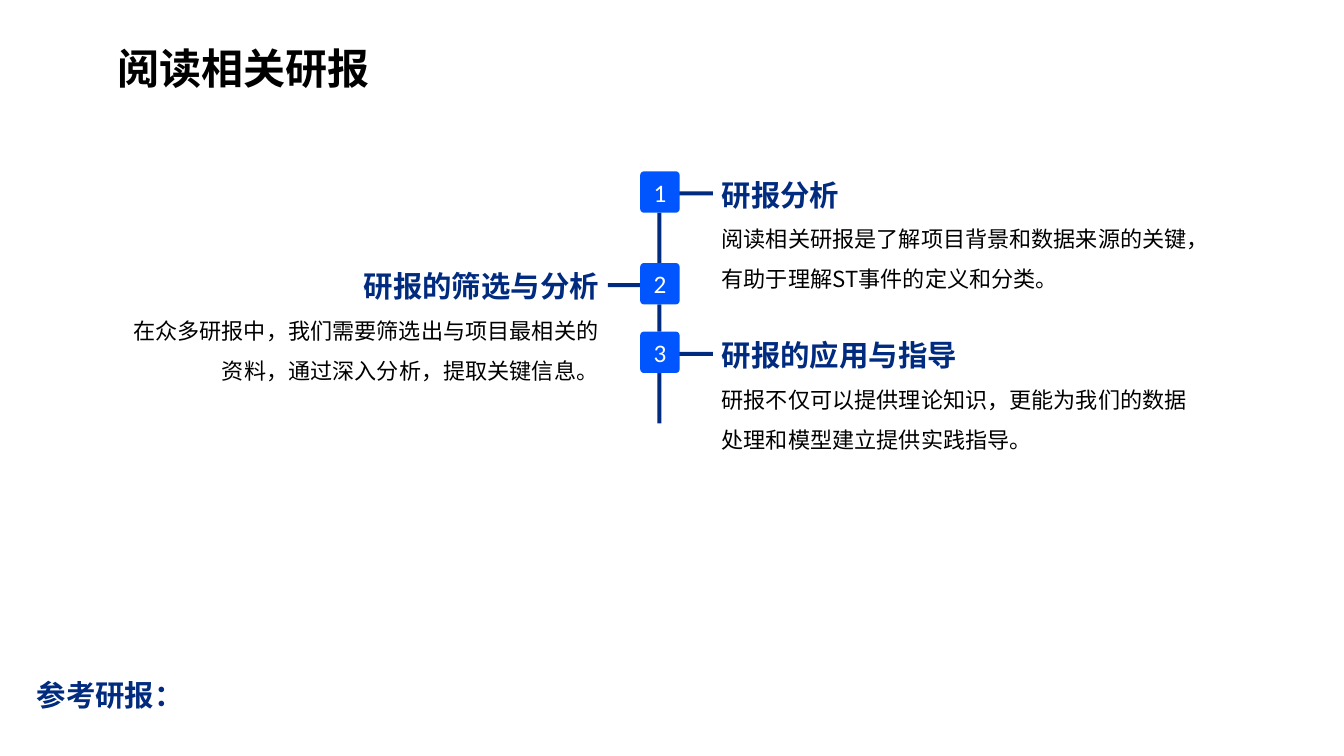
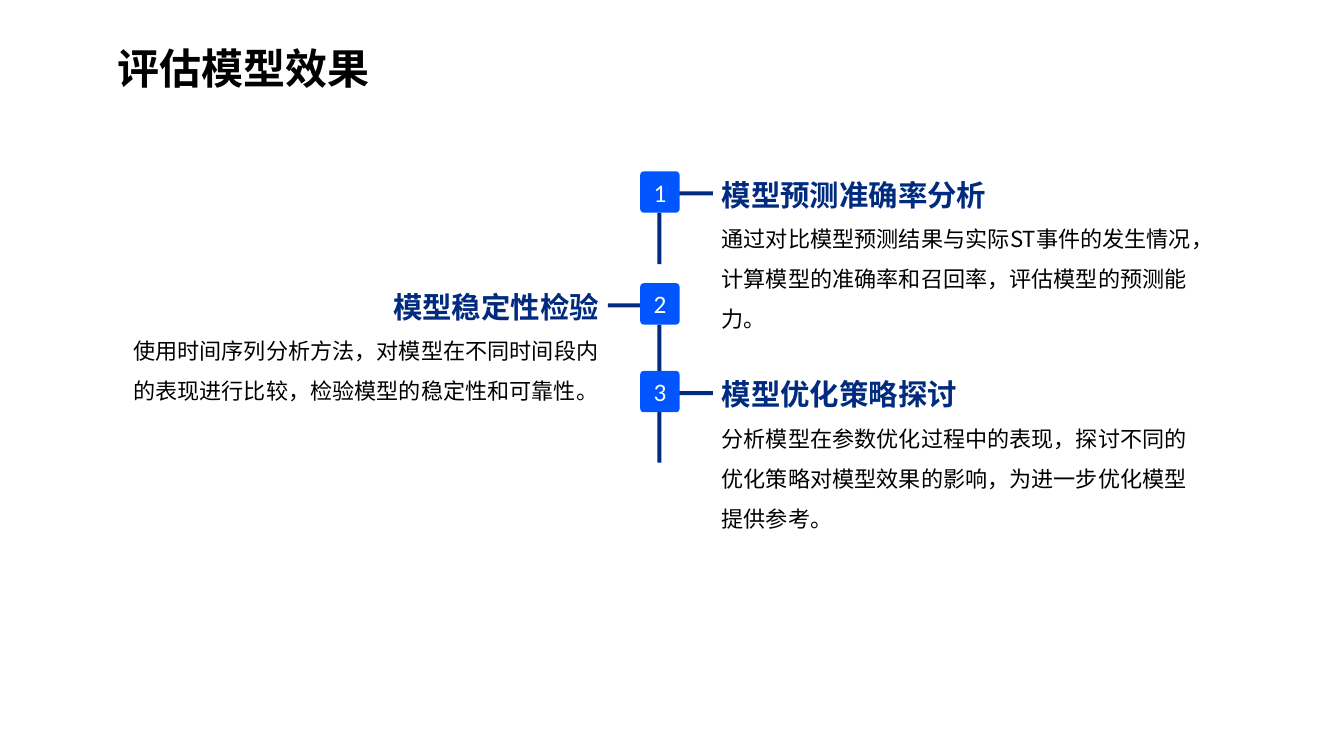
from math import ceil
from pptx import Presentation
from pptx.dml.color import RGBColor
from pptx.enum.shapes import MSO_SHAPE
from pptx.enum.text import MSO_ANCHOR, MSO_AUTO_SIZE, PP_ALIGN
from pptx.oxml.ns import qn
from pptx.util import Emu, Pt

# Content: title, steps (heading, body, badge top, stem length), closing note
DECK = [
    ("阅读相关研报", [
        ("研报分析",
         "阅读相关研报是了解项目背景和数据来源的关键，有助于理解ST事件的定义和分类。",
         170, 51),
        ("研报的筛选与分析",
         "在众多研报中，我们需要筛选出与项目最相关的资料，通过深入分析，提取关键信息。",
         261, 27),
        ("研报的应用与指导",
         "研报不仅可以提供理论知识，更能为我们的数据处理和模型建立提供实践指导。",
         329, 50),
    ], "参考研报："),
    ("评估模型效果", [
        ("模型预测准确率分析",
         "通过对比模型预测结果与实际ST事件的发生情况，计算模型的准确率和召回率，评估模型的预测能力。",
         170, 51),
        ("模型稳定性检验",
         "使用时间序列分析方法，对模型在不同时间段内的表现进行比较，检验模型的稳定性和可靠性。",
         281, 46),
        ("模型优化策略探讨",
         "分析模型在参数优化过程中的表现，探讨不同的优化策略对模型效果的影响，为进一步优化模型提供参考。",
         368, 50),
    ], None),
]

# Shared style: 100 px to the inch
PX = 9144
NAVY, BLUE, BLACK, WHITE = "002B7F", "0055FF", "000000", "FFFFFF"
SANS, DIGIT = "Noto Sans CJK SC", "Calibri"
# Style: size, line height, colour, bold
TITLE = (30, 54, BLACK, True)
HEAD = (21, 25.6, NAVY, True)
BODY = (15.8, 28.6, BLACK, False)
# Badge column, stem, side branches and text columns
BADGE_X, BADGE_W, BADGE_H = 635, 39, 41
STEM_X, THICK = 652, 4
BRANCH_W, TEXT_W = 34, 497
SIDES = [(673, 706, PP_ALIGN.LEFT), (603, 107, PP_ALIGN.RIGHT)]
ROW_CHARS = 22


def px(*nums):
    return [Emu(n * PX) for n in nums]


def paint(hue):
    return RGBColor.from_string(hue)


def write(para, text, size, color, bold=False, face=SANS):
    run = para.add_run()
    run.text = text
    font = run.font
    font.size, font.bold, font.name = Pt(size), bold, face
    font.color.rgb = paint(color)
    # East Asian glyphs need their own typeface entry
    latin = run._r.rPr.find(qn("a:latin"))
    east = latin.makeelement(qn("a:ea"), {"typeface": face})
    latin.addnext(east)


def fill_text(frame, parts, align, anchor=MSO_ANCHOR.TOP):
    frame.word_wrap = True
    frame.auto_size = MSO_AUTO_SIZE.NONE
    frame.vertical_anchor = anchor
    for i, (text, style) in enumerate(parts):
        para = frame.add_paragraph() if i else frame.paragraphs[0]
        size, line, color, bold = style
        para.alignment = align
        para.line_spacing = Pt(line)
        para.space_before = para.space_after = Pt(0)
        write(para, text, size, color, bold)


def add_text(slide, box, parts, align):
    frame = slide.shapes.add_textbox(*px(*box)).text_frame
    fill_text(frame, parts, align)


def add_block(slide, box, color, kind=MSO_SHAPE.RECTANGLE):
    shape = slide.shapes.add_shape(kind, *px(*box))
    shape.shadow.inherit = False
    shape.fill.solid()
    shape.fill.fore_color.rgb = paint(color)
    shape.line.fill.background()
    return shape


def add_title(slide, text):
    title = slide.shapes.title
    title.left, title.top, title.width, title.height = px(107, 12, 1025, 85)
    fill_text(title.text_frame, [(text, TITLE)], PP_ALIGN.LEFT, MSO_ANCHOR.MIDDLE)


def add_step(slide, num, head, body, top, stem):
    branch_x, text_x, align = SIDES[(num - 1) % 2]
    # Text beside the badge
    high = 46 + 39 * ceil(len(body) / ROW_CHARS)
    add_text(slide, (text_x, top, TEXT_W, high), [(head, HEAD), (body, BODY)], align)
    # Stem and branch
    add_block(slide, (STEM_X, top + BADGE_H, THICK, stem), NAVY)
    add_block(slide, (branch_x, top + 20, BRANCH_W, THICK), NAVY)
    # Numbered badge
    badge = add_block(slide, (BADGE_X, top, BADGE_W, BADGE_H), BLUE,
                      MSO_SHAPE.ROUNDED_RECTANGLE)
    badge.adjustments[0] = 0.09
    frame = badge.text_frame
    frame.word_wrap = False
    frame.vertical_anchor = MSO_ANCHOR.MIDDLE
    para = frame.paragraphs[0]
    para.alignment = PP_ALIGN.CENTER
    write(para, str(num), 18, WHITE, face=DIGIT)


def main():
    deck = Presentation()
    deck.slide_width, deck.slide_height = px(1333, 750)
    for title, steps, note in DECK:
        slide = deck.slides.add_slide(deck.slide_layouts[5])
        add_title(slide, title)
        for num, step in enumerate(steps, 1):
            add_step(slide, num, *step)
        if note:
            add_text(slide, (20, 666, 172, 45), [(note, HEAD)], PP_ALIGN.RIGHT)
    deck.save("out.pptx")


if __name__ == "__main__":
    main()
